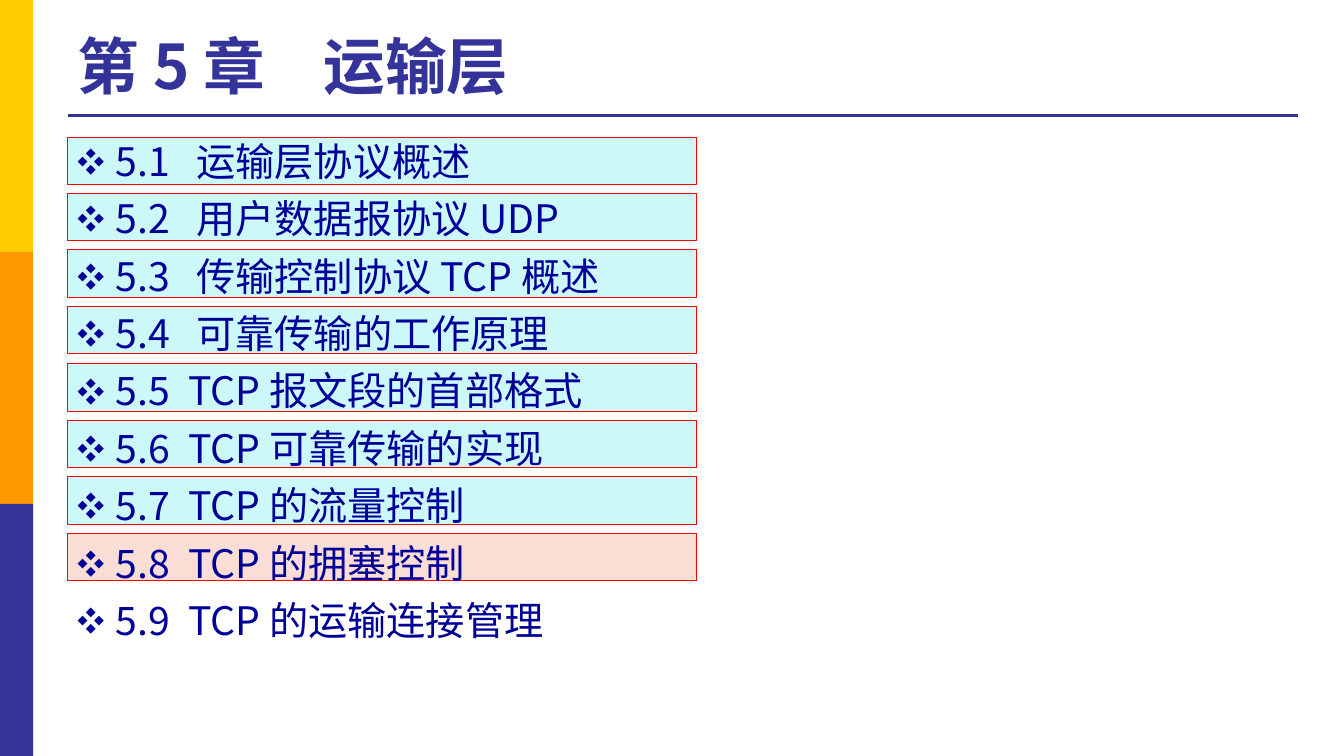
from dataclasses import dataclass

from lxml import etree
from pptx import Presentation
from pptx import util as u
from pptx.dml.color import RGBColor
from pptx.enum import shapes, text
from pptx.oxml.ns import qn

EMU_PER_PX = 9144  # 100 px to the inch
FONT = "Noto Sans CJK SC"
NAVY, INK, RED = "333399", "000099", "FF0000"
DONE, CURRENT = "CCF8F9", "FADDD4"
LEFT, CONTENT_WIDTH = 67, 1220
BAND_WIDTH, BAND_HEIGHT = 33, 250
ROW_TOP, ROW_WIDTH, ROW_HEIGHT = 136, 624, 47
LAST_ROW_OFFSET = 393
INDENT = 38
CJK_TAB, LATIN_TAB, TITLE_TAB = 118, 110, 244


@dataclass(frozen=True)
class Section:
    number: str
    title: str
    fill: str | None = DONE

    @property
    def tab(self) -> int:
        return LATIN_TAB if self.title.startswith("TCP") else CJK_TAB


SECTIONS = [
    Section("5.1", "运输层协议概述"),
    Section("5.2", "用户数据报协议 UDP"),
    Section("5.3", "传输控制协议 TCP 概述"),
    Section("5.4", "可靠传输的工作原理"),
    Section("5.5", "TCP 报文段的首部格式"),
    Section("5.6", "TCP 可靠传输的实现"),
    Section("5.7", "TCP 的流量控制"),
    Section("5.8", "TCP 的拥塞控制", CURRENT),
    Section("5.9", "TCP 的运输连接管理", None),
]


def px(length: int) -> u.Emu:
    return u.Emu(length * EMU_PER_PX)


def colour(value: str) -> RGBColor:
    return RGBColor.from_string(value)


def add_rectangle(slide, left: int, top: int, width: int, height: int,
                  fill: str, line: str | None = None) -> None:
    shape = slide.shapes.add_shape(
        shapes.MSO_SHAPE.RECTANGLE, px(left), px(top), px(width), px(height))
    shape.shadow.inherit = False
    shape.fill.solid()
    shape.fill.fore_color.rgb = colour(fill)
    if line:
        shape.line.color.rgb = colour(line)
        shape.line.width = u.Pt(0.75)
    else:
        shape.line.fill.background()


def add_rule(slide, top: int) -> None:
    rule = slide.shapes.add_connector(
        shapes.MSO_CONNECTOR.STRAIGHT,
        px(LEFT), px(top), px(LEFT + CONTENT_WIDTH), px(top))
    rule.line.color.rgb = colour(NAVY)
    rule.line.width = u.Pt(2.25)
    etree.SubElement(rule._element.spPr, qn("a:effectLst"))


def add_text_frame(slide, top: int, height: int, anchor: text.MSO_ANCHOR):
    box = slide.shapes.add_textbox(
        px(LEFT), px(top), px(CONTENT_WIDTH), px(height))
    box.text_frame.word_wrap = True
    box.text_frame.vertical_anchor = anchor
    return box.text_frame


def add_tab(paragraph, position: int) -> None:
    tabs = etree.SubElement(paragraph._p.get_or_add_pPr(), qn("a:tabLst"))
    etree.SubElement(tabs, qn("a:tab"), pos=str(px(position)), algn="l")


def add_bullet(paragraph) -> None:
    properties = paragraph._p.get_or_add_pPr()
    properties.set("marL", str(px(INDENT)))
    properties.set("indent", str(-px(INDENT)))
    etree.SubElement(properties, qn("a:buSzPct"), val="70000")
    etree.SubElement(properties, qn("a:buFont"), typeface=FONT)
    etree.SubElement(properties, qn("a:buChar"), char="❖")


def add_run(paragraph, wording: str, size: int, ink: str, bold: bool = False) -> None:
    run = paragraph.add_run()
    run.text = wording
    run.font.size = u.Pt(size)
    run.font.bold = bold
    run.font.color.rgb = colour(ink)
    run.font.name = FONT
    etree.SubElement(run._r.get_or_add_rPr(), qn("a:ea"), typeface=FONT)


def add_title(slide) -> None:
    paragraph = add_text_frame(slide, 21, 87, text.MSO_ANCHOR.MIDDLE).paragraphs[0]
    add_tab(paragraph, TITLE_TAB)
    add_run(paragraph, "第 5 章\t运输层", 44, NAVY, bold=True)


def add_contents(slide) -> None:
    frame = add_text_frame(slide, 131, 540, text.MSO_ANCHOR.TOP)
    for index, section in enumerate(SECTIONS):
        paragraph = frame.add_paragraph() if index else frame.paragraphs[0]
        if index:
            paragraph.space_before = u.Pt(7.4)
        add_bullet(paragraph)
        add_tab(paragraph, section.tab)
        add_run(paragraph, f"{section.number}\t{section.title}", 28, INK)


def main() -> None:
    presentation = Presentation()
    presentation.slide_width, presentation.slide_height = px(1333), px(750)
    slide = presentation.slides.add_slide(presentation.slide_layouts[6])
    add_rule(slide, 115)
    for index, fill in enumerate(("FFCC00", "FF9900", NAVY)):
        add_rectangle(slide, 0, index * BAND_HEIGHT, BAND_WIDTH, BAND_HEIGHT, fill)
    rows = [section for section in SECTIONS if section.fill]
    for index, section in enumerate(rows):
        top = ROW_TOP + round(index * LAST_ROW_OFFSET / (len(rows) - 1))
        add_rectangle(slide, LEFT, top, ROW_WIDTH, ROW_HEIGHT, section.fill, RED)
    add_title(slide)
    add_contents(slide)


    presentation.save("out.pptx")


if __name__ == "__main__":
    main()
